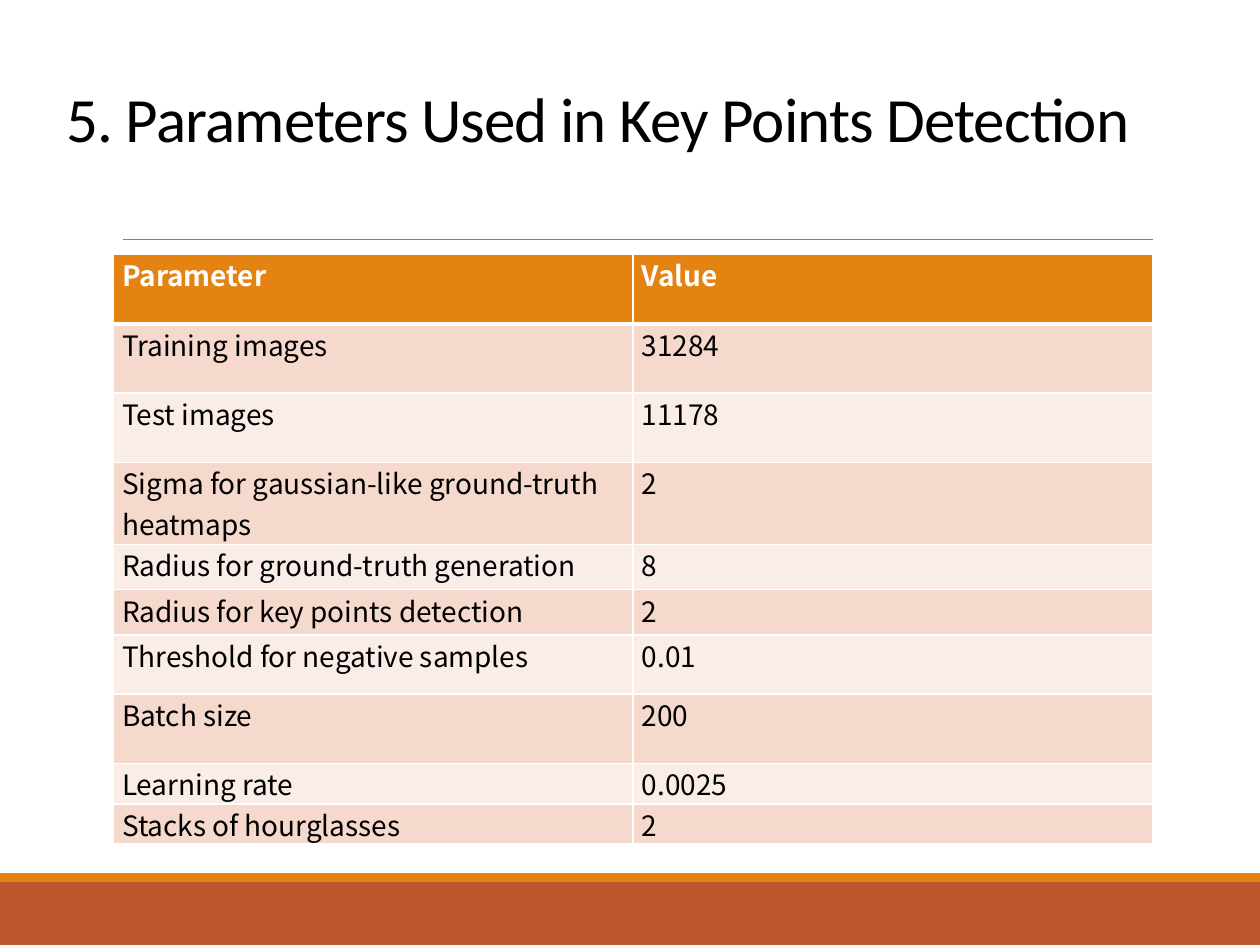
from lxml import etree
from pptx import Presentation
from pptx.dml.color import RGBColor
from pptx.enum.shapes import MSO_CONNECTOR, MSO_SHAPE
from pptx.enum.text import MSO_ANCHOR
from pptx.oxml.ns import qn
from pptx.util import Inches, Pt

RECTANGLE = MSO_SHAPE.RECTANGLE
STRAIGHT = MSO_CONNECTOR.STRAIGHT
BOTTOM = MSO_ANCHOR.BOTTOM
TOP = MSO_ANCHOR.TOP

BLACK = RGBColor(0x00, 0x00, 0x00)
WHITE = RGBColor(0xFF, 0xFF, 0xFF)
GRAY = RGBColor(0x80, 0x80, 0x80)
ORANGE = RGBColor(0xE4, 0x83, 0x12)
RUST = RGBColor(0xBD, 0x58, 0x2C)
DARK_BAND = RGBColor(0xF5, 0xD9, 0xCC)
LIGHT_BAND = RGBColor(0xFA, 0xED, 0xE7)

TABLE_WIDTH = 8.25

# Label, value and row height in inches
ROWS = [
    ("Parameter", "Value", 0.55),
    ("Training images", "31284", 0.55),
    ("Test images", "11178", 0.55),
    ("Sigma for gaussian-like ground-truth heatmaps", "2", 0.65),
    ("Radius for ground-truth generation", "8", 0.36),
    ("Radius for key points detection", "2", 0.36),
    ("Threshold for negative samples", "0.01", 0.47),
    ("Batch size", "200", 0.55),
    ("Learning rate", "0.0025", 0.32),
    ("Stacks of hourglasses", "2", 0.32),
]


def write_text(text_frame, text, font="Noto Sans CJK SC", size=16, color=BLACK,
               bold=False, line_spacing=1.0):
    paragraph = text_frame.paragraphs[0]
    paragraph.line_spacing = line_spacing
    run = paragraph.add_run()
    run.text = text
    run.font.name = font
    run.font.size = Pt(size)
    run.font.bold = bold
    run.font.color.rgb = color
    return run


def add_border(cell, side, width):
    properties = cell._tc.get_or_add_tcPr()
    line = etree.SubElement(properties, qn(f"a:ln{side}"), w=str(Pt(width)))
    fill = etree.SubElement(line, qn("a:solidFill"))
    etree.SubElement(fill, qn("a:srgbClr"), val=str(WHITE))


presentation = Presentation()
presentation.slide_width = Inches(10)
presentation.slide_height = Inches(7.5)
slide = presentation.slides.add_slide(presentation.slide_layouts[6])

# Footer bands
for top, height, color in [(7, 0.5, RUST), (6.93, 0.07, ORANGE)]:
    band = slide.shapes.add_shape(
        RECTANGLE, Inches(0), Inches(top), Inches(10), Inches(height))
    band.shadow.inherit = False
    band.fill.solid()
    band.fill.fore_color.rgb = color
    band.line.fill.background()

# Rule under the title
rule = slide.shapes.add_connector(
    STRAIGHT, Inches(0.98), Inches(1.9), Inches(9.15), Inches(1.9))
rule.line.color.rgb = GRAY
rule.line.width = Pt(0.5)
etree.SubElement(rule._element.spPr, qn("a:effectLst"))

# Title
title = slide.shapes.add_textbox(
    Inches(0.43), Inches(0.21), Inches(9), Inches(1.07))
title.text_frame.word_wrap = True
title.text_frame.vertical_anchor = BOTTOM
title_run = write_text(
    title.text_frame, "5. Parameters Used in Key Points Detection",
    font="Calibri", size=36, line_spacing=0.85)
title_run._r.get_or_add_rPr().set("spc", "-50")

# Parameter table
table = slide.shapes.add_table(
    len(ROWS), 2, Inches(0.9), Inches(2.02), Inches(TABLE_WIDTH),
    Inches(sum(row[2] for row in ROWS))).table
for column in table.columns:
    column.width = Inches(TABLE_WIDTH / 2)

for row_index, (label, value, height) in enumerate(ROWS):
    table.rows[row_index].height = Inches(height)
    is_header = row_index == 0
    if is_header:
        fill_color = ORANGE
    else:
        fill_color = DARK_BAND if row_index % 2 else LIGHT_BAND
    for column_index, text in enumerate((label, value)):
        cell = table.cell(row_index, column_index)
        cell.margin_left = cell.margin_right = Inches(0.07)
        cell.margin_top = cell.margin_bottom = Inches(0)
        cell.vertical_anchor = TOP
        write_text(cell.text_frame, text, bold=is_header,
                   color=WHITE if is_header else BLACK)
        for side in "LRTB":
            # The line between header and body is heavier
            heavy = (row_index, side) in [(0, "B"), (1, "T")]
            add_border(cell, side, 3 if heavy else 1)
        cell.fill.solid()
        cell.fill.fore_color.rgb = fill_color

presentation.save("out.pptx")
